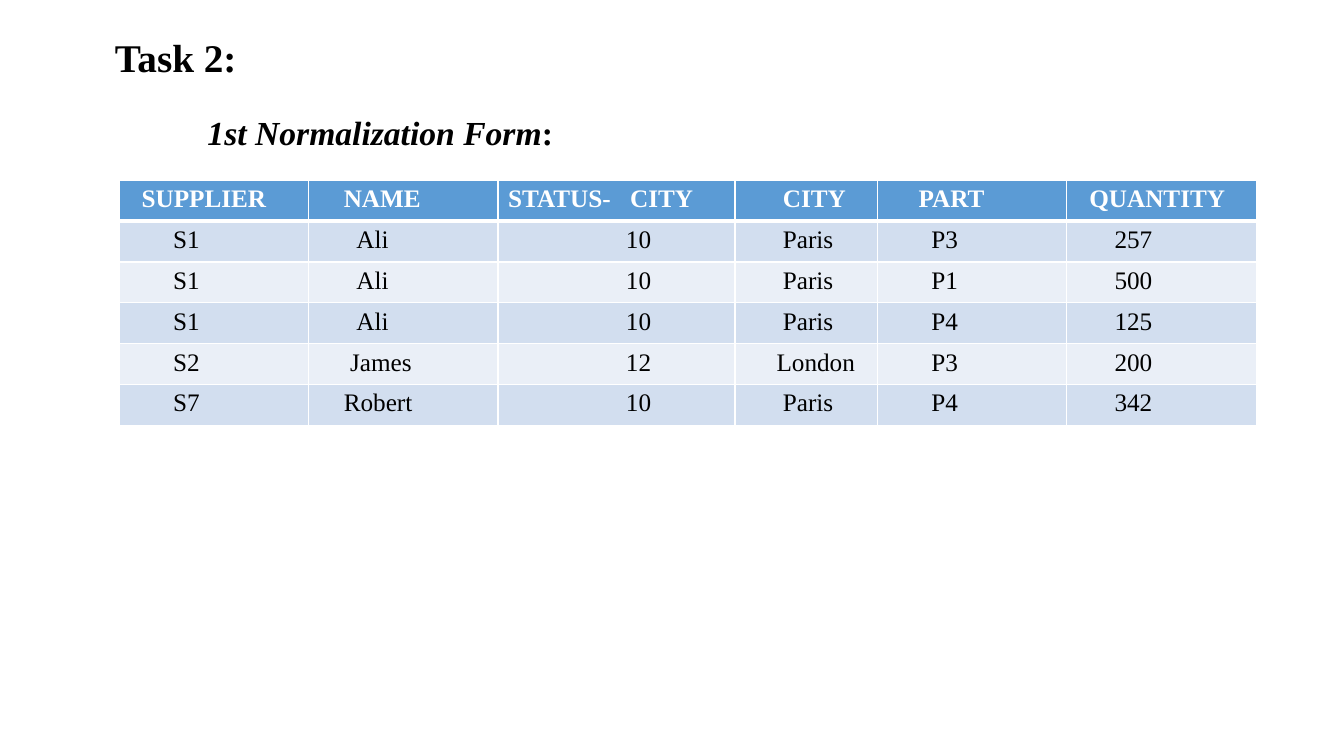
from lxml import etree
from pptx import Presentation
from pptx.dml.color import RGBColor
from pptx.enum import text
from pptx.oxml import ns
from pptx.util import Inches, Pt

# Content
TITLE = "Task 2:"
SUBTITLE = [("1st Normalization Form", True), (":", False)]
HEADER = ["SUPPLIER", "NAME", "STATUS-\tCITY", "CITY", "PART", "QUANTITY"]
ROWS = [
    ["S1", "Ali", "10", "Paris", "P3", "257"],
    ["S1", "Ali", "10", "Paris", "P1", "500"],
    ["S1", "Ali", "10", "Paris", "P4", "125"],
    ["S2", "James", "12", "London", "P3", "200"],
    ["S7", "Robert", "10", "Paris", "P4", "342"],
]

# Layout: indents are counted in steps of one character gap
COL_WIDTHS = [1.88, 1.88, 2.35, 1.41, 1.88, 1.88]
ROW_HEIGHT = 0.405
STEP, MARGIN = 0.0625, 0.1
HEADER_STEPS = [2, 4, 0, 6, 5, 2]
BODY_STEPS = [7, 6, 7, 6, 7, 6]
LONG_NAME_STEPS = {"James": 5, "London": 5, "Robert": 4}
STATUS_COL = 2
STATUS_TAB = 1.21

FONT = "Times New Roman"
BLACK = RGBColor(0x00, 0x00, 0x00)
WHITE = RGBColor(0xFF, 0xFF, 0xFF)
BLUE = RGBColor(0x5B, 0x9B, 0xD5)
BANDS = [RGBColor(0xD2, 0xDE, 0xEF), RGBColor(0xEA, 0xEF, 0xF7)]


def add_run(p, words, size, color=BLACK, bold=True, italic=False):
    r = p.add_run()
    r.text = words
    r.font.name, r.font.size = FONT, Pt(size)
    r.font.bold, r.font.italic = bold, italic
    r.font.color.rgb = color


def place_heading(s, left, top, width, height):
    s.left, s.top, s.width, s.height = map(Inches, (left, top, width, height))
    tf = s.text_frame
    tf.word_wrap = False
    tf.auto_size = text.MSO_AUTO_SIZE.SHAPE_TO_FIT_TEXT
    tf.vertical_anchor = text.MSO_ANCHOR.TOP
    p = tf.paragraphs[0]
    p.alignment = text.PP_ALIGN.LEFT
    return p


def set_borders(cell, top, bottom):
    """Draw white borders; the side lines are always 1 pt."""
    sides = [("lnL", 1), ("lnR", 1), ("lnT", top), ("lnB", bottom)]
    tc_pr = cell._tc.get_or_add_tcPr()
    for i, (tag, width) in enumerate(sides):
        ln = etree.Element(ns.qn("a:" + tag), w=str(Pt(width)))
        fill = etree.SubElement(ln, ns.qn("a:solidFill"))
        etree.SubElement(fill, ns.qn("a:srgbClr"), val=str(WHITE))
        tc_pr.insert(i, ln)


def add_tab_stop(p, position):
    tabs = etree.SubElement(p._p.get_or_add_pPr(), ns.qn("a:tabLst"))
    etree.SubElement(tabs, ns.qn("a:tab"), pos=str(Inches(position)), algn="l")


def main():
    prs = Presentation()
    prs.slide_width, prs.slide_height = Inches(13.33), Inches(7.5)
    slide = prs.slides.add_slide(prs.slide_layouts[5])

    # Headings
    p = place_heading(slide.shapes.title, 1.04, 0.28, 1.42, 0.57)
    add_run(p, TITLE, 28)
    subtitle = slide.shapes.add_textbox(0, 0, 0, 0)
    p = place_heading(subtitle, 1.96, 1.06, 3.66, 0.5)
    for words, italic in SUBTITLE:
        add_run(p, words, 24, italic=italic)

    # Supplier table
    rows = [HEADER] + ROWS
    table = slide.shapes.add_table(
        len(rows), len(HEADER), Inches(1.18), Inches(1.79),
        Inches(sum(COL_WIDTHS)), Inches(ROW_HEIGHT * len(rows))).table
    for column, width in zip(table.columns, COL_WIDTHS):
        column.width = Inches(width)

    for i, row in enumerate(rows):
        table.rows[i].height = Inches(ROW_HEIGHT)
        is_header = i == 0
        for j, words in enumerate(row):
            cell = table.cell(i, j)
            cell.fill.solid()
            cell.fill.fore_color.rgb = BLUE if is_header else BANDS[(i - 1) % 2]
            set_borders(cell, top=3 if i == 1 else 1, bottom=3 if is_header else 1)
            steps = (HEADER_STEPS if is_header else BODY_STEPS)[j]
            steps = LONG_NAME_STEPS.get(words, steps)
            cell.margin_left = Inches(MARGIN + steps * STEP)
            p = cell.text_frame.paragraphs[0]
            if j == STATUS_COL and not is_header:
                p.alignment = text.PP_ALIGN.CENTER
            if "\t" in words:
                add_tab_stop(p, STATUS_TAB)
            add_run(p, words, 18, WHITE if is_header else BLACK, bold=is_header)

    prs.save("out.pptx")


if __name__ == "__main__":
    main()
